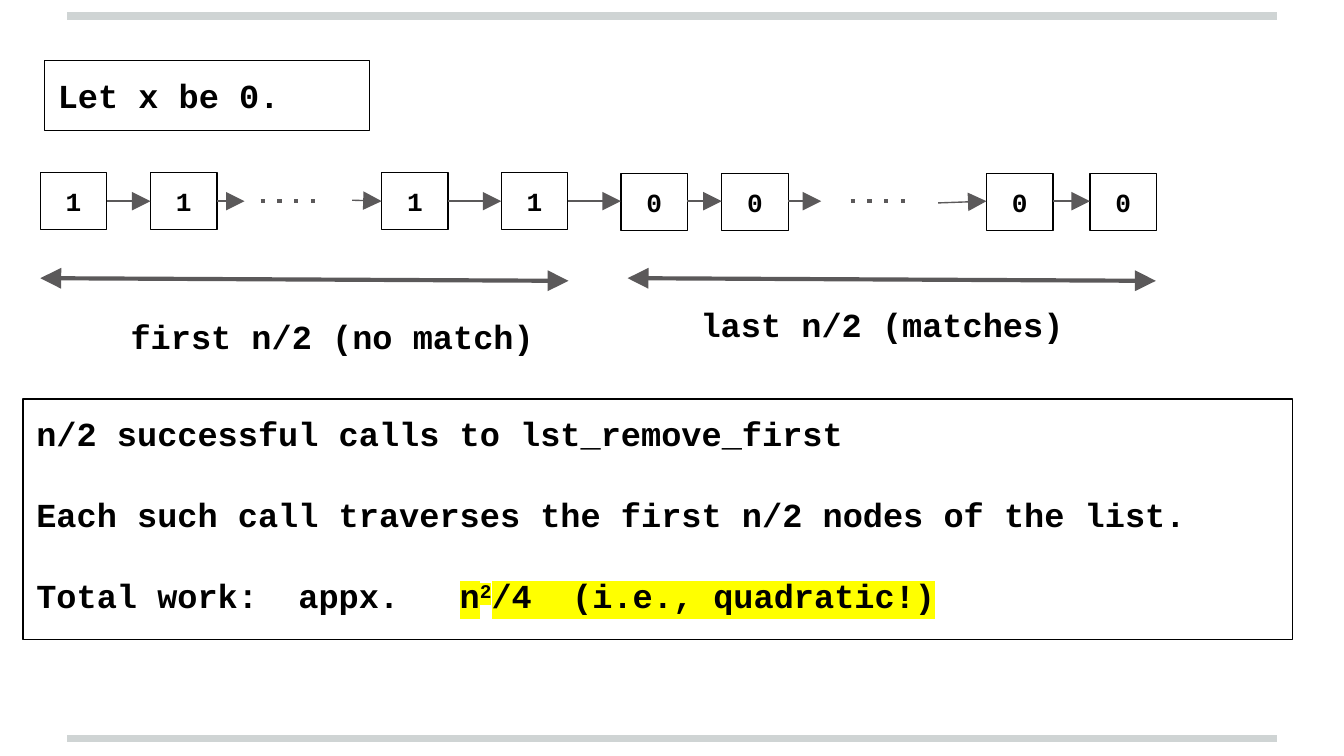
import dataclasses
import typing

import pptx
import pptx.dml.color
import pptx.enum.shapes
import pptx.enum.text
import pptx.oxml
import pptx.oxml.ns
import pptx.util

COLUMNS, ROWS = 100, 56.25  # square grid cells of a tenth of an inch
FONT = "Courier New"
BLACK, GREY, PALE, YELLOW = "000000", "5B595A", "CFD4D4", "FFFF00"
NODE_WIDTH, NODE_HEIGHT, LINK_ROW = 4.95, 4.27, 14.97


class Area(typing.NamedTuple):
    column: float
    row: float
    width: float
    height: float


class Span(typing.NamedTuple):
    text: str
    highlight: bool = False
    raised: bool = False


@dataclasses.dataclass
class Node:
    value: str
    column: float
    row: float


@dataclasses.dataclass
class Gap:
    """Elided nodes: arrow out, dots, arrow in."""
    out_end: float
    dots_start: float
    dots_end: float
    in_start: float
    in_row: float


@dataclasses.dataclass
class Half:
    label: str
    label_area: Area
    start: float
    end: float


NODES = [Node("1", column, 12.82) for column in (3, 11.2, 28.4, 37.3)]
NODES += [Node("0", column, 12.9) for column in (46.2, 53.7, 73.4, 81.1)]
GAPS = {1: Gap(18.2, 19.4, 24.3, 26.2, 14.9), 5: Gap(61.1, 63.3, 68.1, 69.8, 15.1)}
HALVES = [
    Half("first n/2 (no match)", Area(8.73, 22.5, 32.2, 4.3), 3, 42.3),
    Half("last n/2 (matches)", Area(51.14, 21.6, 32.2, 4.3), 46.7, 86),
]
CONCLUSIONS = [
    [Span("n/2 successful calls to lst_remove_first")],
    [Span("Each such call traverses the first n/2 nodes of the list.")],
    [Span("Total work:  appx.   "), Span("n", True), Span("2", True, True),
     Span("/4  (i.e., quadratic!)", True)],
]


def cells(count: float) -> int:
    return pptx.util.Inches(count / 10)


def color(value: str) -> pptx.dml.color.RGBColor:
    return pptx.dml.color.RGBColor.from_string(value)


def add_element(parent, tag: str, **attributes: str):
    element = pptx.oxml.parse_xml(f"<a:{tag} {pptx.oxml.ns.nsdecls('a')}/>")
    for name, value in attributes.items():
        element.set(name, value)
    parent.append(element)
    return element


def add_line(page, start: tuple, end: tuple, hex_color: str = GREY, weight: float = 0.75,
             dash: str = "", arrows: tuple = ()) -> None:
    line = page.shapes.add_connector(
        pptx.enum.shapes.MSO_CONNECTOR.STRAIGHT, *map(cells, (*start, *end)))
    line.line.color.rgb = color(hex_color)
    line.line.width = pptx.util.Pt(weight)
    outline = line.line._get_or_add_ln()
    if dash:
        add_element(outline, "prstDash", val=dash)
    for arrow in arrows:
        add_element(outline, arrow, type="triangle", w="lg", len="lg")
    add_element(line._element.spPr, "effectLst")


def write(para, spans: list[Span], size: float = 18) -> None:
    for item in spans:
        span = para.add_run()
        span.text = item.text
        span.font.name = FONT
        span.font.size = pptx.util.Pt(size)
        span.font.bold = True
        span.font.color.rgb = color(BLACK)
        properties = span._r.get_or_add_rPr()
        if item.raised:
            properties.set("baseline", "30000")
        if item.highlight:
            mark = add_element(properties, "highlight")
            add_element(mark, "srgbClr", val=YELLOW)
            properties.find(pptx.oxml.ns.qn("a:solidFill")).addnext(mark)


def fit(box, area: Area, anchor=pptx.enum.text.MSO_ANCHOR.MIDDLE):
    """Place a box, set its margins and return its text frame."""
    box.left, box.top, box.width, box.height = map(cells, area)
    frame = box.text_frame
    frame.word_wrap = True
    frame.auto_size = pptx.enum.text.MSO_AUTO_SIZE.NONE
    frame.vertical_anchor = anchor
    frame.margin_left = frame.margin_right = cells(1)
    frame.margin_top = frame.margin_bottom = cells(1)
    return frame


def outline_box(box) -> None:
    box.fill.background()
    box.line.color.rgb = color(BLACK)
    box.line.width = pptx.util.Pt(0.75)


def add_node(page, node: Node) -> None:
    area = Area(node.column, node.row, NODE_WIDTH, NODE_HEIGHT)
    box = page.shapes.add_shape(
        pptx.enum.shapes.MSO_SHAPE.RECTANGLE, *map(cells, area))
    box.shadow.inherit = False
    outline_box(box)
    para = fit(box, area).paragraphs[0]
    para.alignment = pptx.enum.text.PP_ALIGN.CENTER
    write(para, [Span(node.value)], 14)


def add_links(page) -> None:
    forward = ("tailEnd",)
    for index, (node, following) in enumerate(zip(NODES, NODES[1:])):
        start, end = (node.column + NODE_WIDTH, LINK_ROW), (following.column, LINK_ROW)
        gap = GAPS.get(index)
        if gap is None:
            add_line(page, start, end, arrows=forward)
            continue
        add_line(page, start, (gap.out_end, LINK_ROW), arrows=forward)
        add_line(page, (gap.dots_start, LINK_ROW), (gap.dots_end, LINK_ROW),
                 weight=2.25, dash="dot")
        add_line(page, (gap.in_start, gap.in_row), end, arrows=forward)


def add_half(page, half: Half) -> None:
    add_line(page, (half.start, 20.7), (half.end, 20.9), weight=2.25,
             arrows=("headEnd", "tailEnd"))
    box = page.shapes.add_textbox(*map(cells, half.label_area))
    frame = fit(box, half.label_area, pptx.enum.text.MSO_ANCHOR.TOP)
    write(frame.paragraphs[0], [Span(half.label)])


def fill_title(title) -> None:
    outline_box(title)
    para = fit(title, Area(3.3, 4.5, 24.2, 5.2)).paragraphs[0]
    para.alignment = pptx.enum.text.PP_ALIGN.LEFT
    write(para, [Span("Let x be 0.")])


def fill_body(body) -> None:
    outline_box(body)
    frame = fit(body, Area(1.7, 29.7, 94.45, 17.9), pptx.enum.text.MSO_ANCHOR.TOP)
    for index, spans in enumerate(CONCLUSIONS):
        para = frame.add_paragraph() if index else frame.paragraphs[0]
        properties = para._p.get_or_add_pPr()
        properties.set("marL", "0")
        properties.set("indent", "0")
        add_element(properties, "buNone")
        para.space_before = pptx.util.Pt(22 if index else 0)
        write(para, spans)


def main() -> None:
    deck = pptx.Presentation()
    deck.slide_width, deck.slide_height = cells(COLUMNS), cells(ROWS)
    page = deck.slides.add_slide(deck.slide_layouts[1])
    for row in (1.2, 54.94):
        add_line(page, (5, row), (95, row), PALE, 4)
    fill_title(page.shapes.title)
    for node in NODES:
        add_node(page, node)
    add_links(page)
    for half in HALVES:
        add_half(page, half)
    fill_body(page.placeholders[1])
    deck.save("out.pptx")


if __name__ == "__main__":
    main()
